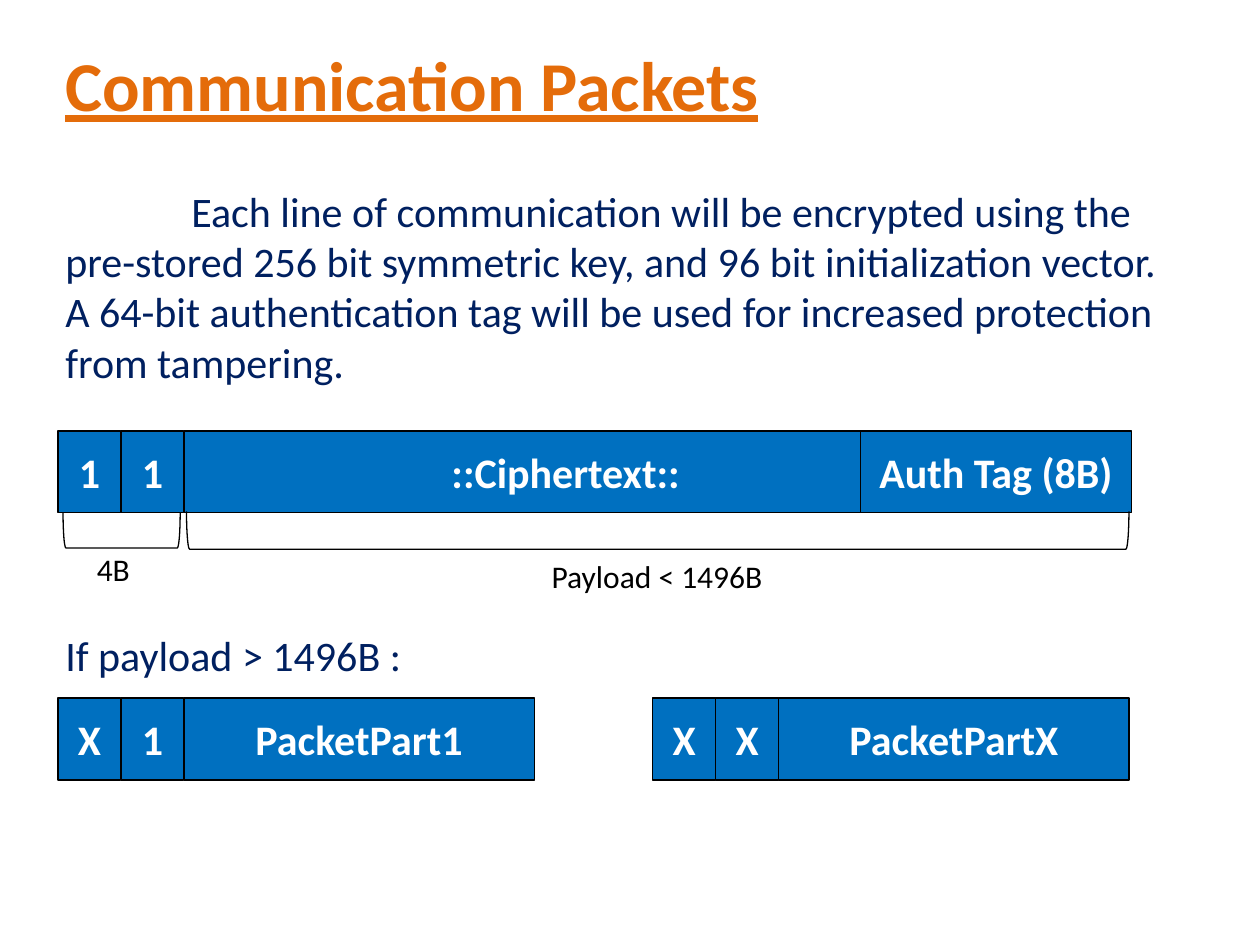
from dataclasses import dataclass

import pptx
import pptx.dml.color
import pptx.enum.shapes
import pptx.enum.text
import pptx.util

Inches = pptx.util.Inches
RGBColor = pptx.dml.color.RGBColor
Align = pptx.enum.text.PP_ALIGN
Anchor = pptx.enum.text.MSO_ANCHOR
Shapes = pptx.enum.shapes.MSO_SHAPE

ORANGE = RGBColor(0xE4, 0x6C, 0x0A)
NAVY = RGBColor(0x00, 0x20, 0x60)
BLUE = RGBColor(0x00, 0x70, 0xC0)
WHITE = RGBColor(0xFF, 0xFF, 0xFF)
BLACK = RGBColor(0x00, 0x00, 0x00)

FONT = "Calibri"
COLUMN = 0.5  # width of one header field, in inches
LEFT = 0.46
FIELD_HEIGHT = 0.65
TEXT_LEFT, TEXT_WIDTH = 0.42, 9


@dataclass(frozen=True)
class Field:
    """One packet field, placed in columns from the packet's left edge."""
    label: str
    start: float
    span: float = 1


@dataclass(frozen=True)
class Packet:
    column: float
    top: float
    fields: tuple[Field, ...]


@dataclass(frozen=True)
class Brace:
    left: float
    top: float
    width: float
    depth: float


@dataclass(frozen=True)
class Caption:
    text: str
    left: float
    top: float
    width: float
    height: float
    size: float
    color: RGBColor
    bold: bool = False
    underline: bool = False
    wrap: bool = True
    anchor: Anchor = Anchor.TOP
    first_indent: float = 0


def split_packet(column: float, first: str, second: str, part: str) -> Packet:
    return Packet(column, 5.54, (Field(part, 2, 5.56), Field(first, 0), Field(second, 1)))


# The authentication tag lies over the end of the ciphertext field.
PACKETS = (
    Packet(0, 3.42, (Field("::Ciphertext::", 2, 12.12), Field("Auth Tag (8B)", 12.74, 4.3),
                     Field("1", 0), Field("1", 1))),
    split_packet(0, "X", "1", "PacketPart1"),
    split_packet(9.44, "X", "X", "PacketPartX"),
)

BRACES = (Brace(0.5, 4.07, 0.93, 0.28), Brace(1.48, 4.06, 7.48, 0.3))

CAPTIONS = (
    Caption("Communication Packets", TEXT_LEFT, 0, TEXT_WIDTH, 1.33, 40, ORANGE,
            bold=True, underline=True, anchor=Anchor.MIDDLE),
    Caption("Each line of communication will be encrypted using the pre-stored 256 bit "
            "symmetric key, and 96 bit initialization vector. A 64-bit authentication tag "
            "will be used for increased protection from tampering.",
            TEXT_LEFT, 1.42, TEXT_WIDTH, 1.8, 24, NAVY, first_indent=1),
    Caption("If payload > 1496B :", TEXT_LEFT, 4.95, TEXT_WIDTH, 0.5, 24, NAVY),
    Caption("4B", 0.67, 4.32, 0.47, 0.4, 18, BLACK, wrap=False),
    Caption("Payload < 1496B", 4.28, 4.37, 1.89, 0.4, 18, BLACK, wrap=False),
)


def add_run(paragraph, text: str, size: float, color: RGBColor,
            bold: bool = False, underline: bool = False) -> None:
    run = paragraph.add_run()
    run.text = text
    run.font.name = FONT
    run.font.size = pptx.util.Pt(size)
    run.font.color.rgb = color
    run.font.bold = bold
    run.font.underline = underline


def outline(shape) -> None:
    shape.shadow.inherit = False
    shape.line.color.rgb = BLACK
    shape.line.width = pptx.util.Pt(0.75)


def draw_packet(slide, packet: Packet) -> None:
    for field in packet.fields:
        left = LEFT + (packet.column + field.start) * COLUMN
        box = slide.shapes.add_shape(
            Shapes.RECTANGLE, Inches(left), Inches(packet.top),
            Inches(field.span * COLUMN), Inches(FIELD_HEIGHT))
        outline(box)
        box.fill.solid()
        box.fill.fore_color.rgb = BLUE
        frame = box.text_frame
        frame.word_wrap = False
        frame.vertical_anchor = Anchor.MIDDLE
        frame.paragraphs[0].alignment = Align.CENTER
        add_run(frame.paragraphs[0], field.label, 24, WHITE, bold=True)


def draw_brace(slide, brace: Brace) -> None:
    """Turn a right bracket a quarter so that it opens upwards."""
    center_x = brace.left + brace.width / 2
    center_y = brace.top + brace.depth / 2
    bracket = slide.shapes.add_shape(
        Shapes.RIGHT_BRACKET, Inches(center_x - brace.depth / 2),
        Inches(center_y - brace.width / 2), Inches(brace.depth), Inches(brace.width))
    bracket.rotation = 90
    bracket.fill.background()
    outline(bracket)


def draw_caption(slide, caption: Caption) -> None:
    box = slide.shapes.add_textbox(Inches(caption.left), Inches(caption.top),
                                   Inches(caption.width), Inches(caption.height))
    frame = box.text_frame
    frame.word_wrap = caption.wrap
    frame.vertical_anchor = caption.anchor
    paragraph = frame.paragraphs[0]
    paragraph.alignment = Align.LEFT
    if caption.first_indent:
        properties = paragraph._p.get_or_add_pPr()
        properties.set("marL", "0")
        properties.set("indent", str(Inches(caption.first_indent)))
    add_run(paragraph, caption.text, caption.size, caption.color,
            caption.bold, caption.underline)


def main() -> None:
    deck = pptx.Presentation()
    deck.slide_width, deck.slide_height = Inches(10), Inches(7.5)
    slide = deck.slides.add_slide(deck.slide_layouts[6])
    for packet in PACKETS:
        draw_packet(slide, packet)
    for brace in BRACES:
        draw_brace(slide, brace)
    for caption in CAPTIONS:
        draw_caption(slide, caption)
    deck.save("out.pptx")


if __name__ == "__main__":
    main()
